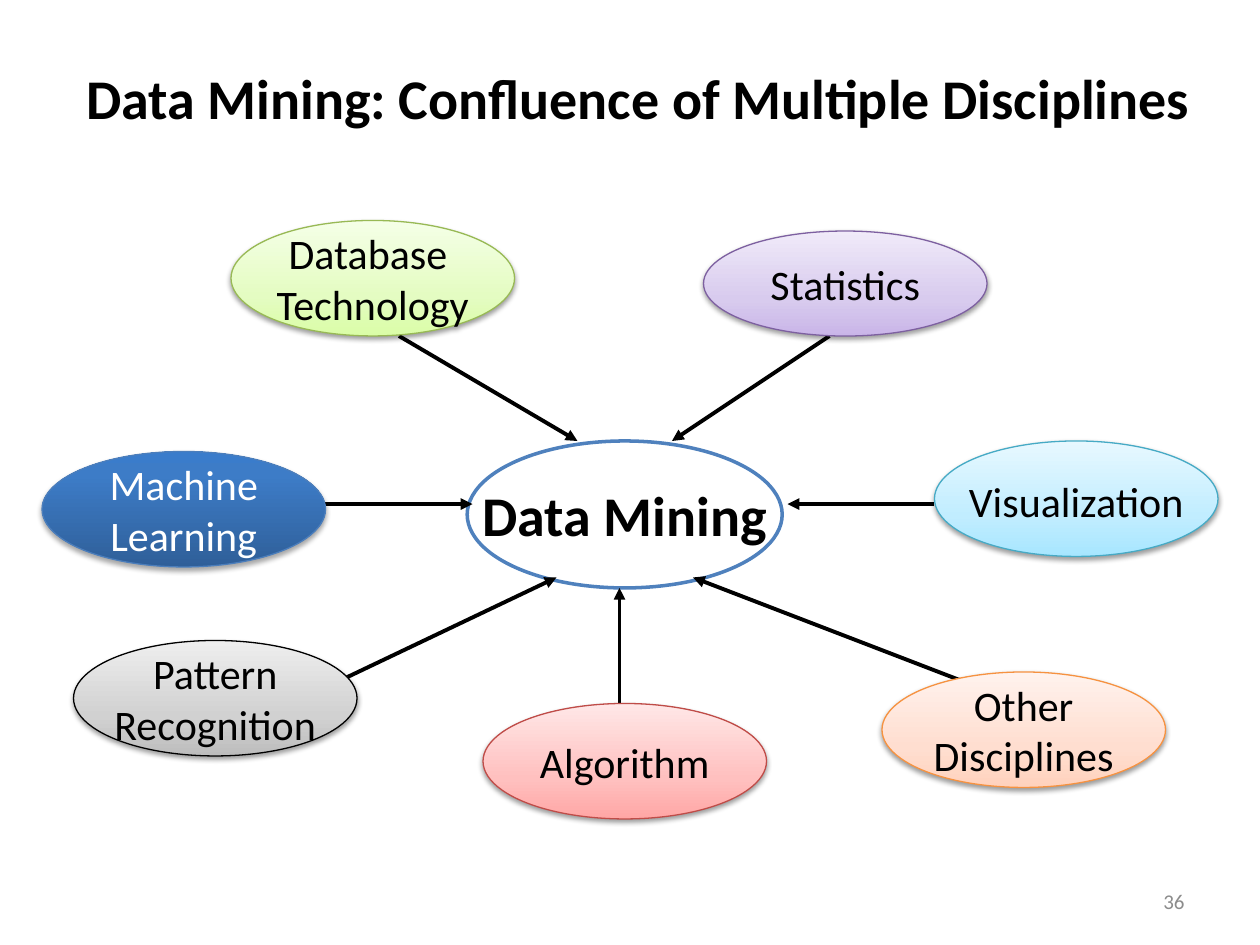
from lxml.etree import SubElement
from pptx import Presentation
from pptx.dml.color import RGBColor
from pptx.enum.shapes import MSO_CONNECTOR, MSO_SHAPE
from pptx.enum.text import MSO_ANCHOR, PP_ALIGN
from pptx.oxml import parse_xml
from pptx.oxml.ns import nsdecls, qn
from pptx.util import Inches, Pt

prs = Presentation()
prs.slide_width, prs.slide_height = Inches(10), Inches(7.5)
s = prs.slides.add_slide(prs.slide_layouts[6])

# The slide is a grid of 120 columns by 90 rows
U = prs.slide_width // 120
BLACK = "000000"


def rgb(value):
    return RGBColor.from_string(value)


def write(sp, lines, size, color=BLACK, bold=False, align=PP_ALIGN.CENTER, wrap=False):
    tf = sp.text_frame
    tf.word_wrap = wrap
    tf.vertical_anchor = MSO_ANCHOR.MIDDLE
    for i, line in enumerate(lines):
        p = tf.add_paragraph() if i else tf.paragraphs[0]
        p.alignment = align
        r = p.add_run()
        r.text = line
        font = {"name": "Calibri", "size": Pt(size), "bold": bold}
        for key, value in font.items():
            setattr(r.font, key, value)
        r.font.color.rgb = rgb(color)
    return p


# Title
title = s.shapes.add_textbox(5 * U, 4 * U, 113 * U, 10 * U)
p = write(title, ["Data Mining: Confluence of Multiple Disciplines"], 32, bold=True, wrap=True)
r = p.add_run()
r.text = " "
r.font.size = Pt(36)

# Central topic
hub = s.shapes.add_shape(MSO_SHAPE.OVAL, 44.5 * U, 42 * U, 30 * U, 14 * U)
hub.shadow.inherit = False
hub.fill.solid()
hub.fill.fore_color.rgb = rgb("FFFFFF")
hub.line.color.rgb = rgb("4F81BD")
hub.line.width = Pt(2)
write(hub, ["Data Mining"], 32, bold=True)

# Arrows into the centre: start column and row, end column and row
arrows = [
    (31, 48, 45, 48), (38, 32, 55, 42), (79, 32, 64, 42), (89, 48, 75, 48),
    (92, 65, 66, 55), (32, 65, 53, 55), (59, 67, 59, 56),
]
for ends in arrows:
    arrow = s.shapes.add_connector(MSO_CONNECTOR.STRAIGHT, *[n * U for n in ends])
    arrow.line.color.rgb = rgb(BLACK)
    arrow.line.width = Pt(2.25)
    SubElement(arrow.line._get_or_add_ln(), qn("a:tailEnd"), type="triangle")
    SubElement(arrow._element.spPr, qn("a:effectLst"))

# Disciplines: lines, column, row, height, line colour, gradient from bottom to top
disciplines = [
    (["Database ", "Technology"], 22, 21, 11, "98B955", ["DAFDA7", "E4FCC2", "F5FFE7"]),
    (["Statistics"], 67, 22, 10, "7D60A0", ["C9B5E8", "D8CBEE", "F0EAF9"]),
    (["Machine", "Learning"], 4, 43, 11, "4B7EBC", ["2F5F99", "3D7CC7", "3A7CCB"]),
    (["Pattern", "Recognition"], 7, 61, 11, BLACK, ["BDBDBD", "D1D1D1", "EEEEEE"]),
    (["Algorithm"], 46, 67, 11, "BF4C48", ["FFA6A5", "FFC0BF", "FFE7E7"]),
    (["Other", "Disciplines"], 84, 64, 11, "F69240", ["FFD2BD", "FFDED0", "FFF2ED"]),
    (["Visualization"], 89, 42, 11, "46AAC5", ["A7E6FF", "C1EDFF", "E7F8FF"]),
]
for lines, col, row, height, edge, colors in disciplines:
    sp = s.shapes.add_shape(MSO_SHAPE.OVAL, col * U, row * U, 27 * U, height * U)
    sp.line.color.rgb = rgb(edge)
    sp.line.width = Pt(0.75)
    dark = lines[0] == "Machine"

    # Three-stop gradient and soft shadow
    stops = "".join(
        f'<a:gs pos="{pos}000"><a:srgbClr val="{color}"/></a:gs>'
        for pos, color in zip((0, 80 if dark else 35, 100), colors)
    )
    spPr = sp._element.spPr
    spPr.find(qn("a:prstGeom")).addnext(parse_xml(
        f'<a:gradFill {nsdecls("a")} rotWithShape="1"><a:gsLst>{stops}</a:gsLst>'
        '<a:lin ang="16200000" scaled="0"/></a:gradFill>'))
    spPr.append(parse_xml(
        f'<a:effectLst {nsdecls("a")}><a:outerShdw blurRad="{Pt(3.1)}" '
        f'dist="{Pt(1.8 if dark else 1.6)}" dir="5400000" rotWithShape="0">'
        f'<a:srgbClr val="{BLACK}"><a:alpha val="{35 if dark else 38}000"/></a:srgbClr>'
        '</a:outerShdw></a:effectLst>'))

    p = write(sp, lines, 24, "FFFFFF" if dark else BLACK)
    if lines == ["Visualization"]:
        p.line_spacing = 1.1

# Slide number
number = s.shapes.add_textbox(86 * U, Inches(6.95), 28 * U, Inches(0.4))
write(number, ["36"], 12, "8C8C8C", align=PP_ALIGN.RIGHT, wrap=True)

prs.save("out.pptx")
